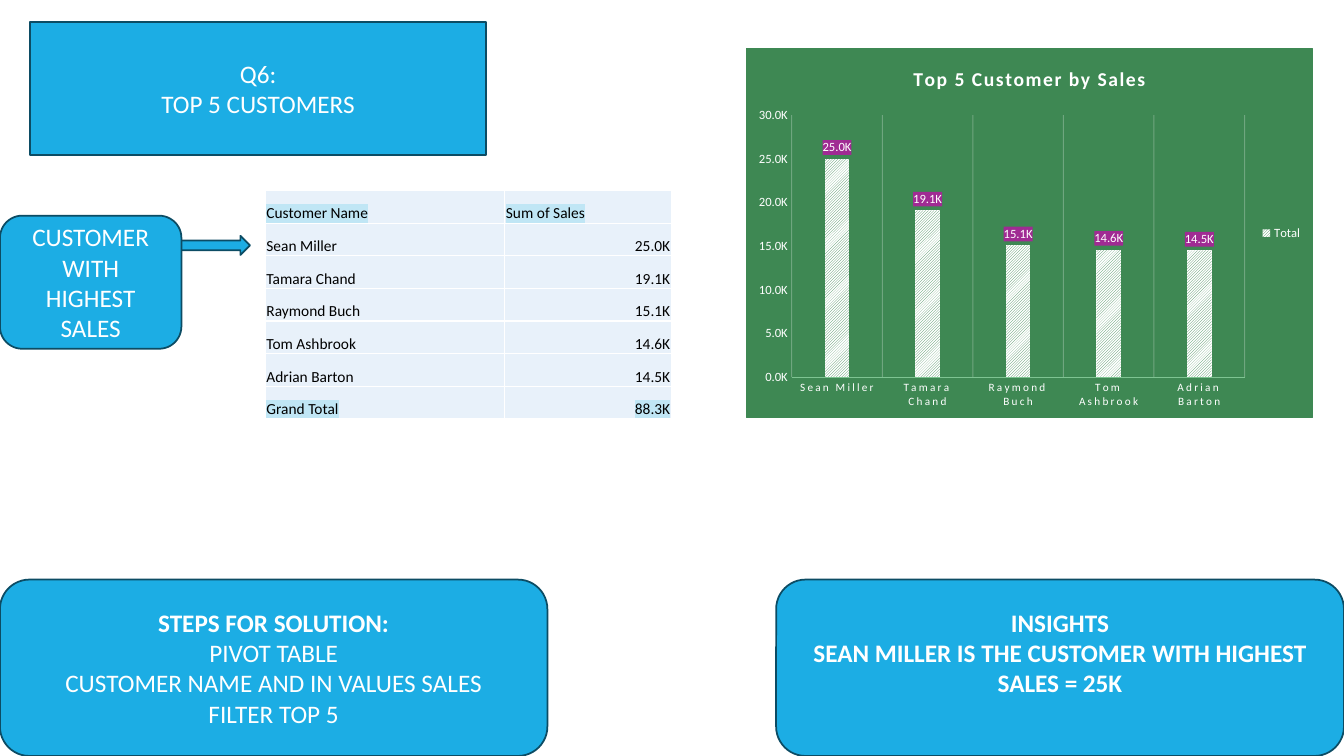
from dataclasses import dataclass

from lxml.etree import SubElement
from pptx import Presentation
from pptx.chart.data import CategoryChartData
from pptx.dml.color import RGBColor
from pptx.enum.chart import XL_CHART_TYPE as ChartType
from pptx.enum.chart import XL_LABEL_POSITION as LabelPosition
from pptx.enum.chart import XL_LEGEND_POSITION as LegendPosition
from pptx.enum.chart import XL_TICK_MARK as TickMark
from pptx.enum.dml import MSO_PATTERN as Pattern
from pptx.enum.shapes import MSO_SHAPE as Shape
from pptx.enum.text import MSO_ANCHOR as Anchor
from pptx.enum.text import MSO_AUTO_SIZE as AutoSize
from pptx.enum.text import PP_ALIGN as Align
from pptx.oxml import parse_xml
from pptx.oxml.ns import nsdecls, qn
from pptx.util import Inches, Pt

COLORS = {
    "panel": "1CADE4", "outline": "0C4C64", "white": "FFFFFF", "black": "000000",
    "cell": "E8F1FA", "highlight": "C0E6F5", "chart": "3E8853", "axis": "7EC492",
    "label": "A02B93",
}
FONT = "Calibri"
WIDTH, HEIGHT = Inches(13.333), Inches(7.5)
SALES = {"Sean Miller": 25000, "Tamara Chand": 19100, "Raymond Buch": 15100,
         "Tom Ashbrook": 14600, "Adrian Barton": 14500}
THOUSANDS = "0.0,\\K"


@dataclass
class Area:
    left: float
    top: float
    width: float
    height: float

    def lengths(self) -> tuple[int, int, int, int]:
        return (int(WIDTH * self.left / 100), int(HEIGHT * self.top / 100),
                int(WIDTH * self.width / 100), int(HEIGHT * self.height / 100))


@dataclass
class Panel:
    shape: Shape
    area: Area
    lines: tuple[str, ...] = ()
    bold_lines: int = 0
    bottom_inset: float = 0.05


TITLE = Panel(Shape.RECTANGLE, Area(2.25, 2.93, 33.9, 17.6), ("Q6:", "TOP 5 CUSTOMERS"))
PANELS = (
    Panel(Shape.ROUNDED_RECTANGLE, Area(0, 76.67, 40.73, 23.33),
          ("STEPS FOR SOLUTION:", "PIVOT TABLE",
           "CUSTOMER NAME AND IN VALUES SALES", "FILTER TOP 5"), 1),
    Panel(Shape.ROUNDED_RECTANGLE, Area(57.75, 76.67, 42.25, 23.33),
          ("INSIGHTS", "SEAN MILLER IS THE CUSTOMER WITH HIGHEST SALES = 25K"), 2, 0.35),
    Panel(Shape.RIGHT_ARROW, Area(10.28, 31.2, 8.32, 2.53)),
    Panel(Shape.ROUNDED_RECTANGLE, Area(0, 28.53, 13.5, 17.6),
          ("CUSTOMER", "WITH", "HIGHEST", "SALES")),
)
CHART_AREA = Area(55.5, 6.4, 42.2, 48.93)
TABLE_AREA = Area(19.75, 25.2, 30.2, 30.24)
COLUMN_SHARES = (0.59, 0.41)
PLOT_SHARES = {"x": 0.08, "y": 0.18, "w": 0.8, "h": 0.71}


def color(name: str) -> RGBColor:
    return RGBColor.from_string(COLORS[name])


def set_font(font, size: float, name: str = "white", bold: bool = False) -> None:
    font.name, font.size, font.bold = FONT, Pt(size), bold
    font.color.rgb = color(name)


def format_panel(shape, panel: Panel) -> None:
    shape.fill.solid()
    shape.fill.fore_color.rgb = color("panel")
    shape.line.color.rgb = color("outline")
    shape.line.width = Pt(1.25)
    if not panel.lines:
        return
    frame = shape.text_frame
    frame.text = "\n".join(panel.lines)
    frame.word_wrap = True
    frame.auto_size = AutoSize.NONE
    frame.vertical_anchor = Anchor.MIDDLE
    frame.margin_bottom = Inches(panel.bottom_inset)
    for index, para in enumerate(frame.paragraphs):
        para.alignment = Align.CENTER
        set_font(para.font, 18, bold=index < panel.bold_lines)


def add_panel(page, panel: Panel) -> None:
    shape = page.shapes.add_shape(panel.shape, *panel.area.lengths())
    shape.shadow.inherit = False
    format_panel(shape, panel)


def format_cell(cell, text: str, right: bool, highlighted: bool) -> None:
    cell.text = text
    cell.vertical_anchor = Anchor.BOTTOM
    cell.margin_left = cell.margin_right = cell.margin_top = Inches(0.01)
    cell.margin_bottom = 0
    para = cell.text_frame.paragraphs[0]
    para.alignment = Align.RIGHT if right else Align.LEFT
    set_font(para.font, 11, "black")
    if highlighted:
        highlight = SubElement(para.runs[0]._r.get_or_add_rPr(), qn("a:highlight"))
        SubElement(highlight, qn("a:srgbClr"), val=COLORS["highlight"])
    cell.fill.solid()
    cell.fill.fore_color.rgb = color("cell")
    properties = cell._tc.get_or_add_tcPr()
    for index, side in enumerate(("lnL", "lnR", "lnT", "lnB")):
        properties.insert(index, parse_xml(
            f'<a:{side} {nsdecls("a")} w="12700"><a:solidFill>'
            f'<a:srgbClr val="{COLORS["white"]}"/></a:solidFill></a:{side}>'))


def add_sales_table(page) -> None:
    totals = SALES | {"Grand Total": sum(SALES.values())}
    rows = [("Customer Name", "Sum of Sales")]
    rows += [(name, f"{value / 1000:.1f}K") for name, value in totals.items()]
    left, top, width, height = TABLE_AREA.lengths()
    table = page.shapes.add_table(len(rows), 2, left, top, width, height).table
    table.first_row = table.horz_banding = False
    for column, share in zip(table.columns, COLUMN_SHARES):
        column.width = int(width * share)
    for r, row in enumerate(rows):
        for c, text in enumerate(row):
            format_cell(table.cell(r, c), text, r > 0 and c == 1, r in (0, len(rows) - 1))


def shape_properties(fill: str, line: str = "") -> object:
    solid = '<a:solidFill><a:srgbClr val="{}"/></a:solidFill>'
    border = f'<a:ln w="9525">{solid.format(COLORS[line])}</a:ln>' if line else ""
    return parse_xml(f'<c:spPr {nsdecls("c", "a")}>{solid.format(COLORS[fill])}{border}</c:spPr>')


def set_letter_spacing(element, spacing: int) -> None:
    for properties in element.iter(qn("a:defRPr"), qn("a:rPr")):
        properties.set("spc", str(spacing))


def set_plot_layout(chart) -> None:
    plot_area = chart._chartSpace.find(f'.//{qn("c:plotArea")}')
    for layout in plot_area.findall(qn("c:layout")):
        plot_area.remove(layout)
    layout = SubElement(plot_area, qn("c:layout"))
    plot_area.insert(0, layout)
    manual = SubElement(layout, qn("c:manualLayout"))
    SubElement(manual, qn("c:layoutTarget"), val="inner")
    for axis in "xy":
        SubElement(manual, qn(f"c:{axis}Mode"), val="edge")
    for key, share in PLOT_SHARES.items():
        SubElement(manual, qn(f"c:{key}"), val=str(share))


def format_axes(chart) -> None:
    names, values = chart.category_axis, chart.value_axis
    for axis, size in ((names, 8), (values, 9)):
        axis.major_tick_mark = axis.minor_tick_mark = TickMark.NONE
        set_font(axis.tick_labels.font, size)
    set_letter_spacing(names._element, 150)
    names.format.line.color.rgb = color("axis")
    names.format.line.width = Pt(0.25)
    names.has_major_gridlines = True
    grid = names.major_gridlines.format.line
    grid.color.rgb = color("white")
    grid.width = Pt(0.75)
    for shade in names._element.find(qn("c:majorGridlines")).iter(qn("a:srgbClr")):
        SubElement(shade, qn("a:alpha"), val="25000")
    values.has_major_gridlines = False
    values.format.line.fill.background()
    values.minimum_scale, values.maximum_scale, values.major_unit = 0, 30000, 5000
    values.tick_labels.number_format = THOUSANDS
    values.tick_labels.number_format_is_linked = False


def format_series(plot) -> None:
    plot.gap_width, plot.overlap, plot.vary_by_categories = 269, -20, False
    series = plot.series[0]
    fill = series.format.fill
    fill.patterned()
    fill.pattern = Pattern.LIGHT_UPWARD_DIAGONAL
    fill.fore_color.rgb = color("chart")
    fill.back_color.rgb = color("white")
    labels = series.data_labels
    labels.show_value = True
    labels.position = LabelPosition.OUTSIDE_END
    labels.number_format = THOUSANDS
    labels.number_format_is_linked = False
    set_font(labels.font, 9)
    labels._element.find(qn("c:numFmt")).addnext(shape_properties("label"))


def add_sales_chart(page) -> None:
    data = CategoryChartData()
    data.categories = list(SALES)
    data.add_series("Total", list(SALES.values()))
    chart = page.shapes.add_chart(ChartType.COLUMN_CLUSTERED, *CHART_AREA.lengths(), data).chart
    set_font(chart.font, 10, "black")
    chart._chartSpace.find(qn("c:chart")).addnext(shape_properties("chart", "chart"))
    title = chart.chart_title
    title.text_frame.text = "Top 5 Customer by Sales"
    title.include_in_layout = False
    set_font(title.text_frame.paragraphs[0].font, 14, bold=True)
    set_letter_spacing(title._element, 100)
    chart.has_legend = True
    chart.legend.position = LegendPosition.RIGHT
    chart.legend.include_in_layout = False
    set_font(chart.legend.font, 9)
    set_plot_layout(chart)
    format_axes(chart)
    format_series(chart.plots[0])


def main() -> None:
    deck = Presentation()
    deck.slide_width, deck.slide_height = WIDTH, HEIGHT
    page = deck.slides.add_slide(deck.slide_layouts[5])
    title = page.shapes.title
    title.left, title.top, title.width, title.height = TITLE.area.lengths()
    format_panel(title, TITLE)
    add_sales_chart(page)
    add_sales_table(page)
    for panel in PANELS:
        add_panel(page, panel)
    deck.save("out.pptx")


if __name__ == "__main__":
    main()
